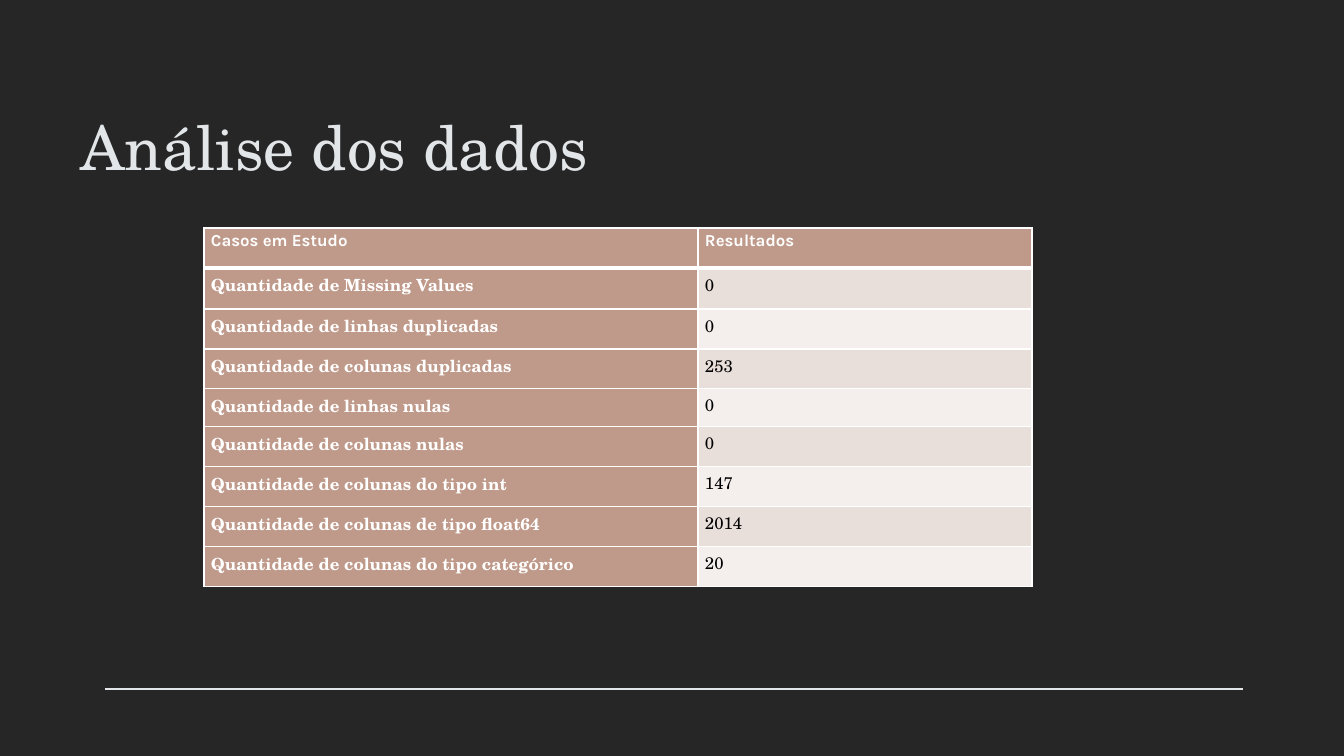
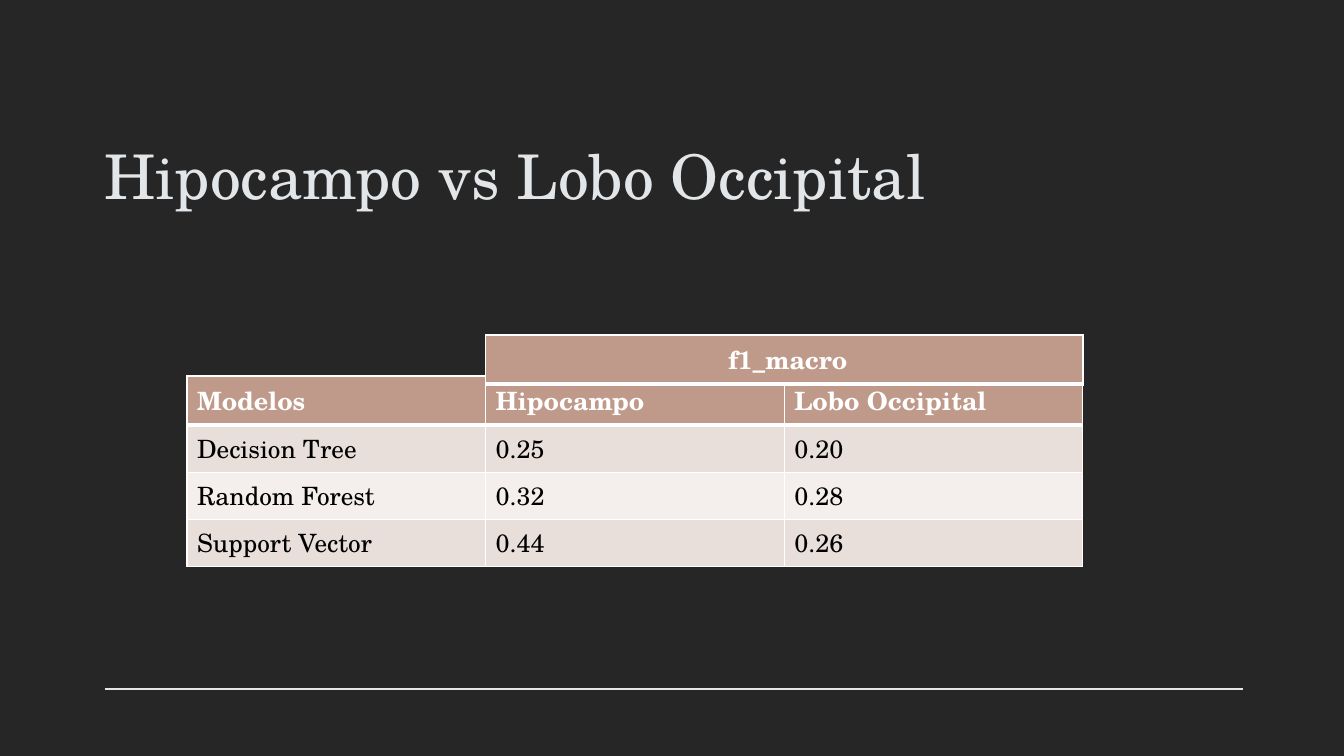
"""Build two dark slides with result tables."""
from lxml.etree import SubElement
from pptx import Presentation
from pptx.dml.color import RGBColor
from pptx.enum.shapes import MSO_CONNECTOR
from pptx.enum.text import MSO_ANCHOR, MSO_AUTO_SIZE, PP_ALIGN
from pptx.oxml.ns import qn
from pptx.util import Pt

EMU_PER_PX = 914400 / 100.8
COLORS = {
    "background": "262626",
    "title": "E2E6E8",
    "accent": "BF9989",
    "band_dark": "E8DEDA",
    "band_light": "F4EFED",
    "light_text": "FFFFFF",
    "dark_text": "000000",
    "border": "FFFFFF",
}
SERIF, SANS = "TeX Gyre Schola", "Karla"
TITLE_FRAME = {"vertical_anchor": MSO_ANCHOR.BOTTOM, "word_wrap": True,
               "auto_size": MSO_AUTO_SIZE.NONE}
TITLE_SIZE = (1149, 120)
COMPACT_MARGINS = {"margin_left": 7, "margin_right": 7,
                   "margin_top": 0, "margin_bottom": 0}
COMPACT_PARAGRAPH = {"line_spacing": 1.16, "space_after": Pt(8)}
CASES = [
    ("Casos em Estudo", "Resultados"),
    ("Quantidade de Missing Values", "0"),
    ("Quantidade de linhas duplicadas", "0"),
    ("Quantidade de colunas duplicadas", "253"),
    ("Quantidade de linhas nulas", "0"),
    ("Quantidade de colunas nulas", "0"),
    ("Quantidade de colunas do tipo int", "147"),
    ("Quantidade de colunas de tipo float64", "2014"),
    ("Quantidade de colunas do tipo categórico", "20"),
]
CASE_HEIGHTS = [40, 41, 40, 40, 38, 40, 40, 40, 40]
SCORES = [
    ("Modelos", "Hipocampo", "Lobo Occipital"),
    ("Decision Tree", "0.25", "0.20"),
    ("Random Forest", "0.32", "0.28"),
    ("Support Vector", "0.44", "0.26"),
]
SCORE_ROW = 41


def px(length):
    """Turn pixels into EMU."""
    return round(length * EMU_PER_PX)


def color(name):
    """Return the named colour."""
    return RGBColor.from_string(COLORS[name])


def apply(target, formats):
    """Set every attribute in formats on the target."""
    for name, value in formats.items():
        setattr(target, name, value)


def style_font(font, name, size, color_name, bold=False):
    """Give a font its face, size, colour and weight."""
    apply(font, {"name": name, "size": Pt(size), "bold": bold})
    font.color.rgb = color(color_name)


def set_borders(cell, top, bottom):
    """Draw the four borders of a cell, with widths in points."""
    properties = cell._tc.get_or_add_tcPr()
    for tag, width in (("lnL", 1), ("lnR", 1), ("lnT", top), ("lnB", bottom)):
        line = SubElement(properties, qn(f"a:{tag}"), w=str(Pt(width)))
        fill = SubElement(line, qn("a:solidFill"))
        SubElement(fill, qn("a:srgbClr"), val=COLORS["border"])


def add_grid(slide, position, widths, heights, rows, size, header_font=SERIF,
             accent_column=False, margins=None, paragraph_format=None):
    """Place a table with an accent header and banded rows."""
    box = (*position, sum(widths), sum(heights))
    table = slide.shapes.add_table(len(rows), len(widths), *map(px, box)).table
    apply(table, {"first_row": False, "horz_banding": False})
    for column, width in zip(table.columns, widths):
        column.width = px(width)
    for row, height in zip(table.rows, heights):
        row.height = px(height)
    for row_index, values in enumerate(rows):
        is_header = row_index == 0
        band = "band_dark" if row_index % 2 else "band_light"
        for column_index, value in enumerate(values):
            accent = is_header or (accent_column and column_index == 0)
            cell = table.cell(row_index, column_index)
            set_borders(cell, 3 if row_index == 1 else 1, 3 if is_header else 1)
            cell.fill.solid()
            cell.fill.fore_color.rgb = color("accent" if accent else band)
            apply(cell, {name: px(margin) for name, margin in (margins or {}).items()})
            paragraph = cell.text_frame.paragraphs[0]
            apply(paragraph, paragraph_format or {})
            run = paragraph.add_run()
            run.text = value
            style_font(run.font, header_font if is_header else SERIF, size,
                       "light_text" if accent else "dark_text", accent)
    return table


def add_titled_slide(presentation, title, left, top):
    """Add a slide with its title and the rule at the foot."""
    slide = presentation.slides.add_slide(presentation.slide_layouts[5])
    shape = slide.shapes.title
    box = map(px, (left, top, *TITLE_SIZE))
    apply(shape, dict(zip(("left", "top", "width", "height"), box)))
    apply(shape.text_frame, TITLE_FRAME)
    paragraph = shape.text_frame.paragraphs[0]
    paragraph.alignment = PP_ALIGN.LEFT
    run = paragraph.add_run()
    run.text = title
    style_font(run.font, SERIF, 44, "title")
    rule = slide.shapes.add_connector(
        MSO_CONNECTOR.STRAIGHT, *map(px, (105, 689, 1243, 689)))
    rule.line.color.rgb = color("title")
    rule.line.width = Pt(0.85)
    SubElement(rule._element.spPr, qn("a:effectLst"))
    return slide


def add_cases(slide, left, top, width):
    """Place the table of data checks."""
    label_width = round(width * 0.597)
    add_grid(slide, (left, top), [label_width, width - label_width],
             CASE_HEIGHTS, CASES, 12, header_font=SANS, accent_column=True,
             margins=COMPACT_MARGINS, paragraph_format=COMPACT_PARAGRAPH)


def add_scores(slide, left, top, width):
    """Place the score table under its spanning header."""
    column = width / 3
    add_grid(slide, (left, top + SCORE_ROW), [column] * 3,
             [SCORE_ROW] * len(SCORES), SCORES, 18)
    add_grid(slide, (left + column, top), [2 * column], [SCORE_ROW],
             [(" f1_macro",)], 18,
             paragraph_format={"alignment": PP_ALIGN.CENTER})


def main():
    """Build and save the presentation."""
    presentation = Presentation()
    apply(presentation, {"slide_width": px(1344), "slide_height": px(756)})
    background = presentation.slide_master.background.fill
    background.solid()
    background.fore_color.rgb = color("background")
    add_cases(add_titled_slide(presentation, "Análise dos dados", 70, 68),
              left=204, top=228, width=828)
    add_scores(add_titled_slide(presentation, "Hipocampo vs Lobo Occipital", 94, 97),
               left=187, top=335, width=896)
    presentation.save("out.pptx")


if __name__ == "__main__":
    main()
